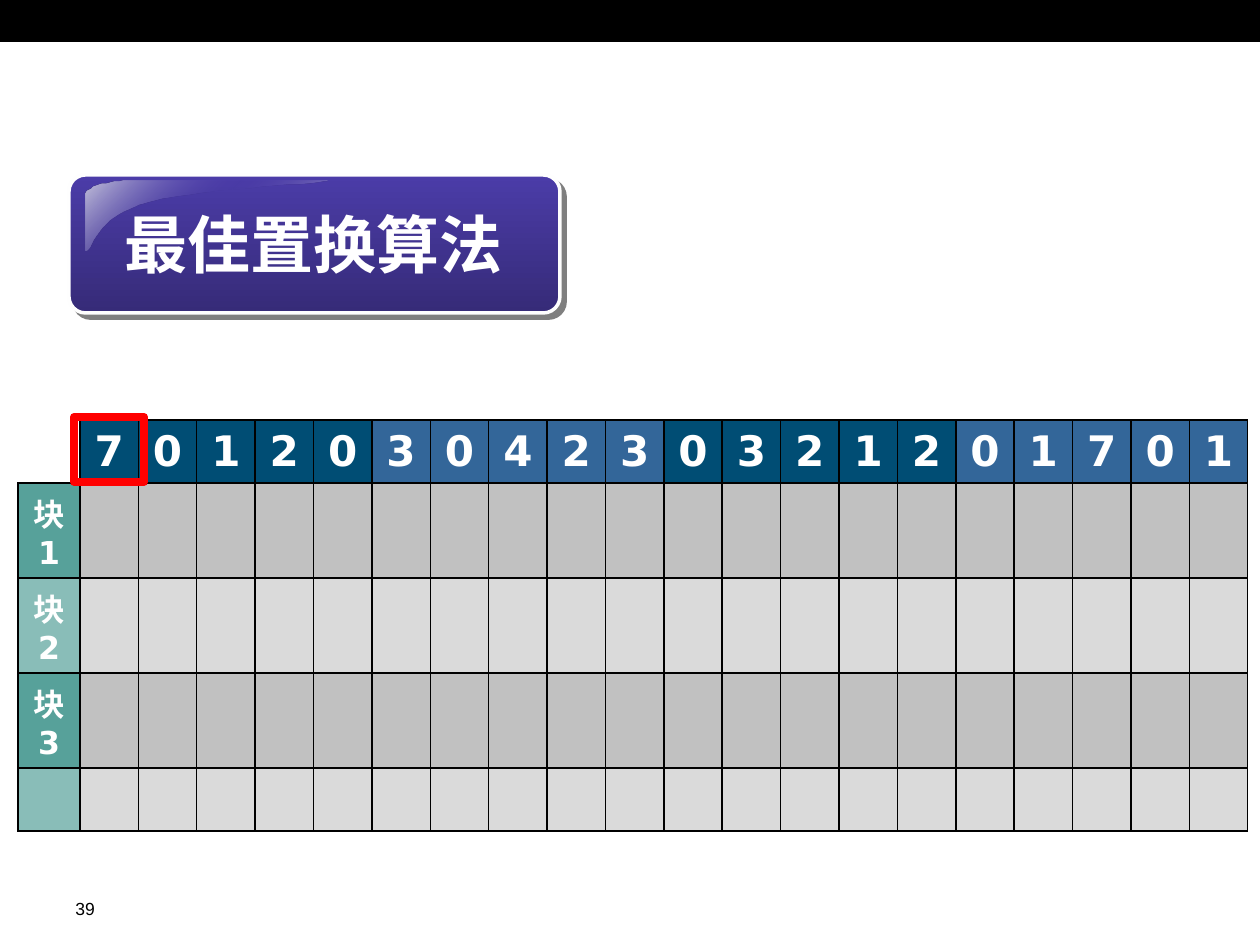
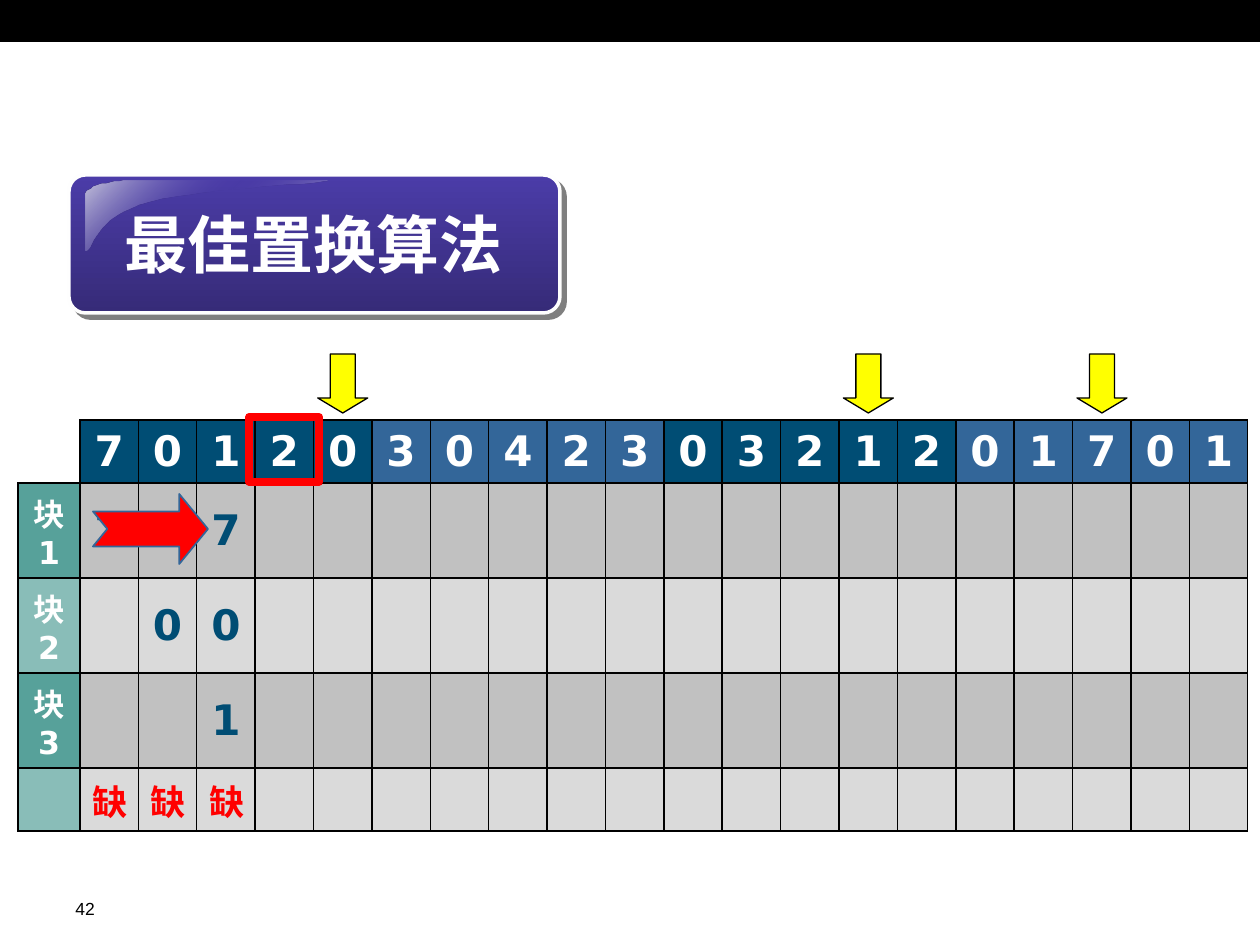
import pptx
import pptx.util
from lxml import etree
from pptx.dml.color import RGBColor
from pptx.enum.shapes import MSO_SHAPE
from pptx.enum.text import MSO_ANCHOR, PP_ALIGN
from pptx.oxml.ns import qn

# Content
TITLE = "最佳置换算法"
REFERENCES = "70120304230321201701"
FRAMES = ["块1", "块2", "块3"]
FAULT = "缺"
STEPS = [
    {"page": "39", "current": 0, "frames": ["", "", ""], "faults": 0,
     "next_uses": [], "replaced": False},
    {"page": "42", "current": 3, "frames": ["777", " 00", "  1"], "faults": 3,
     "next_uses": [4, 13, 17], "replaced": True},
]

# Colours and fonts
BLACK = RGBColor(0x00, 0x00, 0x00)
WHITE = RGBColor(0xFF, 0xFF, 0xFF)
RED = RGBColor(0xFF, 0x00, 0x00)
YELLOW = RGBColor(0xFF, 0xFF, 0x00)
NAVY = RGBColor(0x00, 0x4D, 0x74)
BLUE = RGBColor(0x33, 0x66, 0x99)
TEAL = RGBColor(0x57, 0xA1, 0x9A)
GREY = RGBColor(0xB2, 0xB2, 0xB2)
PURPLE = RGBColor(0x4B, 0x3C, 0xA8)
DARK_PURPLE = RGBColor(0x36, 0x2B, 0x78)
GLOSS = RGBColor(0xC4, 0xC2, 0xDA)
RIM = RGBColor(0xFE, 0xFE, 0xFE)
TEXT_FONT, TABLE_FONT = "Arial", "DejaVu Sans"

# Layout in px, 126 to the inch
SCALE = 914400 / 126
TABLE_LEFT, TABLE_TOP, TABLE_WIDTH = 18, 420, 1230
LABEL_WIDTH = 62
COLUMN = (TABLE_WIDTH - LABEL_WIDTH) / len(REFERENCES)
ROW_HEIGHTS = [63, 95, 95, 95, 63]
GLOSS_START = (134, 181)
GLOSS_CURVES = [
    [(134, 181), (107, 181), (86, 188), (86, 195)],
    [(86, 250), (96, 251), (91, 218), (151, 202)],
    [(151, 202), (213, 187), (330, 185), (328, 181)],
]


def px(length):
    return pptx.util.Emu(round(length * SCALE))


def column_left(index):
    return TABLE_LEFT + LABEL_WIDTH + index * COLUMN


def add_xml(parent, tag, **attributes):
    return etree.SubElement(parent, qn(tag), attributes)


def add_colour(parent, colour, alpha=100):
    node = add_xml(parent, "a:srgbClr", val=str(colour))
    if alpha < 100:
        add_xml(node, "a:alpha", val=str(alpha * 1000))


def add_preset(slide, kind, left, top, width, height, fill, line, points):
    shape = slide.shapes.add_shape(kind, px(left), px(top), px(width), px(height))
    shape.shadow.inherit = False
    if fill is None:
        shape.fill.background()
    else:
        shape.fill.solid()
        shape.fill.fore_color.rgb = fill
    shape.line.color.rgb = line
    shape.line.width = pptx.util.Pt(points)
    return shape


def set_gradient(shape, stops, angle):
    shape.fill.gradient()
    gradient = shape._element.spPr.find(qn("a:gradFill"))
    for child in list(gradient):
        gradient.remove(child)
    stop_list = add_xml(gradient, "a:gsLst")
    for position, colour, alpha in stops:
        add_colour(add_xml(stop_list, "a:gs", pos=str(position * 1000)), colour, alpha)
    add_xml(gradient, "a:lin", ang=str(angle * 60000), scaled="0")


def set_text(frame, text, font, size, colour, bold=False, align=PP_ALIGN.CENTER):
    paragraph = frame.paragraphs[0]
    paragraph.text = text
    paragraph.alignment = align
    paragraph.font.name = font
    paragraph.font.size = pptx.util.Pt(size)
    paragraph.font.bold = bold
    paragraph.font.color.rgb = colour


def add_text(slide, left, top, width, height, *text, **options):
    box = slide.shapes.add_textbox(px(left), px(top), px(width), px(height))
    box.text_frame.word_wrap = True
    set_text(box.text_frame, *text, **options)


def bezier(start, control1, control2, end, parts=16):
    for step in range(parts + 1):
        t = step / parts
        u = 1 - t
        yield tuple(u**3 * a + 3 * u * u * t * b + 3 * u * t * t * c + t**3 * d
                    for a, b, c, d in zip(start, control1, control2, end))


def add_title(slide):
    plate = add_preset(slide, MSO_SHAPE.ROUNDED_RECTANGLE, 69, 175, 491, 138,
                       PURPLE, RIM, 2)
    plate.adjustments[0] = 0.12
    set_gradient(plate, [(0, PURPLE, 100), (100, DARK_PURPLE, 100)], 90)
    effects = plate._element.spPr.find(qn("a:effectLst"))
    shadow = add_xml(effects, "a:outerShdw", dist=str(pptx.util.Pt(4.2)),
                     dir=str(45 * 60000), algn="ctr", rotWithShape="0")
    add_colour(shadow, BLACK, 50)

    # Glossy corner
    outline = slide.shapes.build_freeform(*GLOSS_START, scale=SCALE)
    outline.add_line_segments(
        [point for curve in GLOSS_CURVES for point in bezier(*curve)], close=True)
    gloss = outline.convert_to_shape()
    gloss.shadow.inherit = False
    gloss.line.fill.background()
    set_gradient(gloss, [(0, GLOSS, 100), (50, PURPLE, 0), (100, GLOSS, 100)], 45)

    add_text(slide, 81, 199, 466, 88, TITLE, TEXT_FONT, 36, WHITE, bold=True)


def style_cell(cell, fill, alpha=100, sides="LRTB"):
    """Draw the given borders, then the fill; no fill when it is None."""
    properties = cell._tc.get_or_add_tcPr()
    for side in "LRTB":
        border = add_xml(properties, f"a:ln{side}", w=str(pptx.util.Pt(1)))
        if side in sides:
            add_colour(add_xml(border, "a:solidFill"), BLACK)
        else:
            add_xml(border, "a:noFill")
    if fill is None:
        add_xml(properties, "a:noFill")
    else:
        add_colour(add_xml(properties, "a:solidFill"), fill, alpha)
    cell.vertical_anchor = MSO_ANCHOR.MIDDLE


def add_frame_table(slide, step):
    table = slide.shapes.add_table(
        len(ROW_HEIGHTS), len(REFERENCES) + 1, px(TABLE_LEFT), px(TABLE_TOP),
        px(TABLE_WIDTH), px(sum(ROW_HEIGHTS))).table
    table.first_row = table.horz_banding = False
    for index, column in enumerate(table.columns):
        column.width = px(COLUMN if index else LABEL_WIDTH)
    for row, height in zip(table.rows, ROW_HEIGHTS):
        row.height = px(height)

    # Reference string, shaded in groups of five
    style_cell(table.cell(0, 0), None, sides="RB")
    for index, reference in enumerate(REFERENCES):
        cell = table.cell(0, index + 1)
        style_cell(cell, BLUE if index // 5 % 2 else NAVY)
        set_text(cell.text_frame, reference, TABLE_FONT, 24, WHITE, bold=True)

    # Memory frames, then the row of page faults
    body = [(label, pages, 24, NAVY) for label, pages in zip(FRAMES, step["frames"])]
    body.append(("", FAULT * step["faults"], 20, RED))
    for row, (label, entries, size, colour) in enumerate(body, start=1):
        label_alpha, entry_alpha = (100, 80) if row % 2 else (70, 48)
        head = table.cell(row, 0)
        style_cell(head, TEAL, label_alpha)
        if label:
            set_text(head.text_frame, label, TABLE_FONT, 18, WHITE, bold=True)
        for index, entry in enumerate(entries.ljust(len(REFERENCES))):
            cell = table.cell(row, index + 1)
            style_cell(cell, GREY, entry_alpha)
            if entry.strip():
                set_text(cell.text_frame, entry, TABLE_FONT, size, colour, bold=True)


def add_step(deck, step):
    slide = deck.slides.add_slide(deck.slide_layouts[6])
    add_preset(slide, MSO_SHAPE.RECTANGLE, 0, 1, 1260, 40, BLACK, BLACK, 0.75)
    add_text(slide, 63, 892, 84, 32, step["page"], TEXT_FONT, 10, BLACK,
             align=PP_ALIGN.LEFT)
    add_frame_table(slide, step)
    add_title(slide)

    # Current reference, next uses and the replaced page
    add_preset(slide, MSO_SHAPE.RECTANGLE, column_left(step["current"]) - 6, 417,
               70, 65, None, RED, 4.5)
    for index in step["next_uses"]:
        arrow = add_preset(slide, MSO_SHAPE.DOWN_ARROW,
                           column_left(index + 0.5) - 25, 354, 50, 59,
                           YELLOW, BLACK, 0.75)
        arrow.adjustments[0], arrow.adjustments[1] = 0.5, 0.3
    if step["replaced"]:
        arrow = add_preset(slide, MSO_SHAPE.NOTCHED_RIGHT_ARROW, 93, 494, 115, 70,
                           RED, BLUE, 1)
        arrow.adjustments[0], arrow.adjustments[1] = 0.5, 0.41


def main():
    deck = pptx.Presentation()
    deck.slide_width, deck.slide_height = px(1260), px(945)
    for step in STEPS:
        add_step(deck, step)
    deck.save("out.pptx")


if __name__ == "__main__":
    main()
